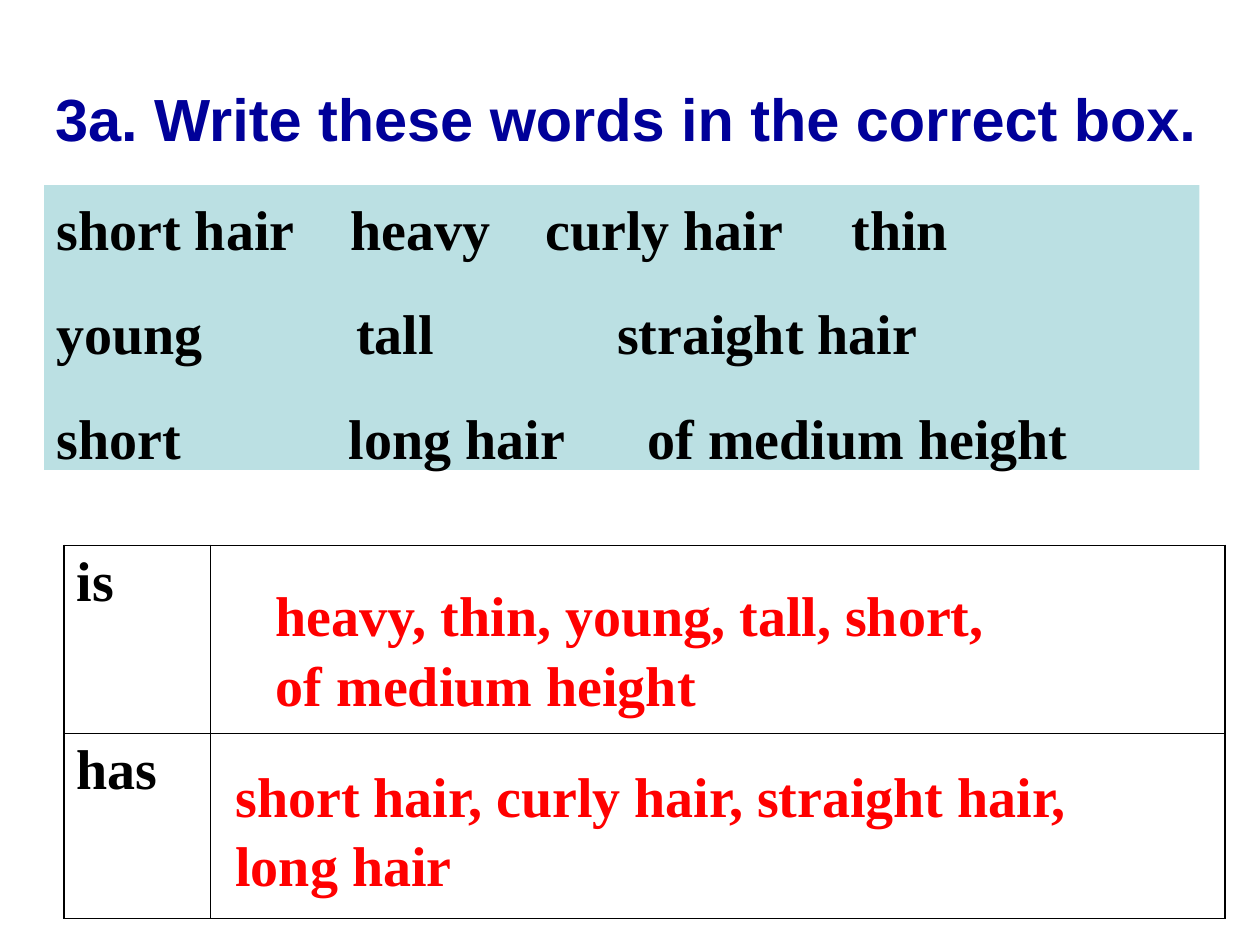
from lxml import etree
from pptx import Presentation
from pptx.dml.color import RGBColor
from pptx.enum import shapes, text
from pptx.oxml import ns
from pptx.util import Inches, Pt

NAVY = RGBColor(0x00, 0x00, 0x99)
PALE_BLUE = RGBColor(0xBB, 0xE0, 0xE3)
BLACK = RGBColor(0x00, 0x00, 0x00)
RED = RGBColor(0xFF, 0x00, 0x00)

# Words of the box, with the tab stops (inches) that line them up
WORD_ROWS = [
    ("short hair\theavy\tcurly hair\tthin", (2.33, 3.88, 6.31)),
    ("young\ttall\tstraight hair", (2.38, 4.45)),
    ("short\tlong hair\tof medium height", (2.32, 4.69)),
]
OUTER, INNER = 1.08, 0.45


def add_tabs(paragraph, stops):
    tab_list = etree.SubElement(paragraph._p.get_or_add_pPr(), ns.qn("a:tabLst"))
    for stop in stops:
        etree.SubElement(tab_list, ns.qn("a:tab"), pos=str(Inches(stop)), algn="l")


def write(frame, lines, font="Times New Roman", size=32, color=BLACK,
          line_spacing=None, gap=0, tabs=()):
    for i, line in enumerate(lines):
        paragraph = frame.paragraphs[0] if i == 0 else frame.add_paragraph()
        paragraph.alignment = text.PP_ALIGN.LEFT
        if line_spacing:
            paragraph.line_spacing = line_spacing
        if gap and i:
            paragraph.space_before = Pt(gap)
        if tabs:
            add_tabs(paragraph, tabs[i])
        run = paragraph.add_run()
        run.text = line
        run.font.name = font
        run.font.size = Pt(size)
        run.font.bold = True
        run.font.color.rgb = color


def add_label(slide, left, top, width, height, lines, wrap=False, **style):
    frame = slide.shapes.add_textbox(
        Inches(left), Inches(top), Inches(width), Inches(height)).text_frame
    frame.word_wrap = wrap
    frame.auto_size = text.MSO_AUTO_SIZE.SHAPE_TO_FIT_TEXT
    write(frame, lines, line_spacing=1.04, **style)


def add_word_box(slide):
    box = slide.shapes.add_shape(
        shapes.MSO_SHAPE.RECTANGLE,
        Inches(0.35), Inches(1.47), Inches(9.17), Inches(2.26))
    box.shadow.inherit = False
    box.fill.solid()
    box.fill.fore_color.rgb = PALE_BLUE
    box.line.fill.background()
    frame = box.text_frame
    frame.word_wrap = True
    frame.vertical_anchor = text.MSO_ANCHOR.TOP
    words, stops = zip(*WORD_ROWS)
    write(frame, words, line_spacing=1.04, gap=20, tabs=stops)


def set_borders(cell, **widths):
    properties = cell._tc.get_or_add_tcPr()
    for position, (side, width) in enumerate(widths.items()):
        line = etree.Element(ns.qn(f"a:{side}"), w=str(Pt(width)))
        fill = etree.SubElement(line, ns.qn("a:solidFill"))
        etree.SubElement(fill, ns.qn("a:srgbClr"), val=str(BLACK))
        properties.insert(position, line)


def add_verb_table(slide, verbs):
    table = slide.shapes.add_table(
        len(verbs), 2, Inches(0.51), Inches(4.33), Inches(9.21), Inches(2.96)).table
    table.first_row = table.horz_banding = False
    for column, width in zip(table.columns, (1.16, 8.05)):
        column.width = Inches(width)
    for row, height in zip(table.rows, (1.49, 1.47)):
        row.height = Inches(height)
    for r, verb in enumerate(verbs):
        write(table.cell(r, 0).text_frame, [verb])
        for c in range(2):
            cell = table.cell(r, c)
            cell.fill.background()
            set_borders(cell,
                        lnL=INNER if c else OUTER, lnR=OUTER if c else INNER,
                        lnT=INNER if r else OUTER, lnB=OUTER if r else INNER)


def main():
    prs = Presentation()
    prs.slide_width, prs.slide_height = Inches(10), Inches(7.5)
    slide = prs.slides.add_slide(prs.slide_layouts[6])

    # Task and words to sort
    add_label(slide, 0.34, 0.58, 9.27, 0.67,
              ["3a. Write these words in the correct box."],
              font="Arial", size=34, color=NAVY)
    add_word_box(slide)

    # Table with the answers laid over it
    add_verb_table(slide, ["is", "has"])
    add_label(slide, 1.77, 5.97, 7.03, 1.17,
              ["short hair, curly hair, straight hair,", "long hair"], color=RED)
    add_label(slide, 2.09, 4.54, 6.38, 1.17,
              ["heavy, thin, young, tall, short,", "of medium height"],
              wrap=True, color=RED)

    prs.save("out.pptx")


if __name__ == "__main__":
    main()
